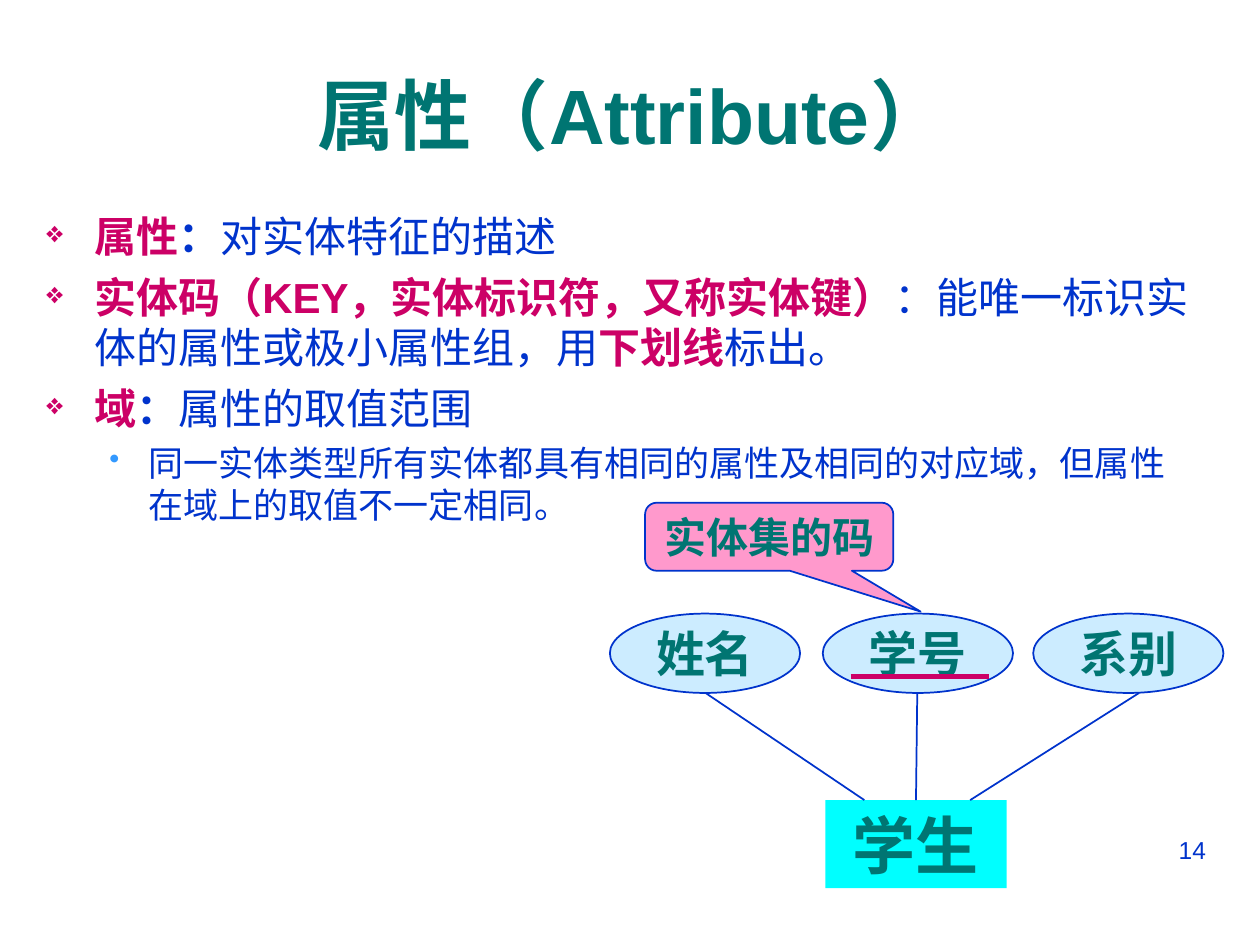
from lxml import etree
from pptx import Presentation
from pptx.dml.color import RGBColor
from pptx.enum.shapes import MSO_CONNECTOR, MSO_SHAPE
from pptx.enum.text import MSO_ANCHOR, PP_ALIGN
from pptx.oxml.ns import qn
from pptx.util import Pt

PX = 9144
BLUE, TEAL, RED = "0033CC", "007572", "CC0066"
SANS, SERIF = "Arial", "Times New Roman"
LEFT, MID, RIGHT = PP_ALIGN.LEFT, PP_ALIGN.CENTER, PP_ALIGN.RIGHT
TOP, CENTER = MSO_ANCHOR.TOP, MSO_ANCHOR.MIDDLE
RECT, OVAL = MSO_SHAPE.RECTANGLE, MSO_SHAPE.OVAL
CALLOUT = MSO_SHAPE.ROUNDED_RECTANGULAR_CALLOUT
STRAIGHT = MSO_CONNECTOR.STRAIGHT
POINTS = [
    (0, [("属性", RED, True), ("：", BLUE, True), ("对实体特征的描述", BLUE, False)]),
    (0, [("实体码（KEY，实体标识符，又称实体键）", RED, True),
         ("：能唯一标识实体的属性或极小属性组，用", BLUE, False),
         ("下划线", RED, True), ("标出。", BLUE, False)]),
    (0, [("域", RED, True), ("：", BLUE, True), ("属性的取值范围", BLUE, False)]),
    (1, [("同一实体类型所有实体都具有相同的属性及相同的对应域，"
          "但属性在域上的取值不一定相同。", BLUE, False)]),
]
LEVELS = [
    {"size": 24, "left": 38, "hang": 38, "gap": 6, "mark": "❖", "hue": RED, "pct": 70},
    {"size": 20, "left": 81, "hang": 31, "gap": 5, "mark": "•", "hue": "3399FF", "pct": 85},
]


def color(code):
    """Turn a hex string into a colour."""
    return RGBColor.from_string(code)


def scale(*lengths):
    """Turn px lengths into EMU."""
    return [n * PX for n in lengths]


def add_run(para, text, size, hue, bold, face=SANS):
    """Add one styled run to a paragraph."""
    run = para.add_run()
    run.text = text
    font = run.font
    font.name, font.size, font.bold = face, Pt(size), bold
    font.color.rgb = color(hue)


def add_text(slide, box, anchor=TOP, align=LEFT):
    """Add a wrapping text box and return its frame."""
    frame = slide.shapes.add_textbox(*scale(*box)).text_frame
    frame.word_wrap = True
    frame.vertical_anchor = anchor
    frame.paragraphs[0].alignment = align
    return frame


def set_bullet(para, level):
    """Give a paragraph the indent and bullet of its level."""
    props = para._p.get_or_add_pPr()
    props.set("marL", str(level["left"] * PX))
    props.set("indent", str(-level["hang"] * PX))
    tint = etree.SubElement(props, qn("a:buClr"))
    etree.SubElement(tint, qn("a:srgbClr"), val=level["hue"])
    etree.SubElement(props, qn("a:buSzPct"), val=str(level["pct"] * 1000))
    etree.SubElement(props, qn("a:buChar"), char=level["mark"])


def add_points(slide, box):
    """Add the bulleted body text."""
    frame = add_text(slide, box)
    for i, (depth, runs) in enumerate(POINTS):
        level = LEVELS[depth]
        para = frame.add_paragraph() if i else frame.paragraphs[0]
        para.level = depth
        set_bullet(para, level)
        para.space_before = Pt(level["gap"] if i else 0)
        for text, hue, bold in runs:
            add_run(para, text, level["size"], hue, bold)


def add_node(slide, kind, box, text, size, fill, edge=BLUE):
    """Add a filled shape with a centred label."""
    node = slide.shapes.add_shape(kind, *scale(*box))
    node.shadow.inherit = False
    node.fill.solid()
    node.fill.fore_color.rgb = color(fill)
    if edge:
        node.line.color.rgb = color(edge)
        node.line.width = Pt(1)
    else:
        node.line.fill.background()
    frame = node.text_frame
    frame.word_wrap = False
    frame.vertical_anchor = CENTER
    para = frame.paragraphs[0]
    para.alignment = MID
    add_run(para, text, size, TEAL, True, SERIF)
    return node


def add_line(slide, ends, hue=BLUE, width=1):
    """Add a straight line between two points."""
    line = slide.shapes.add_connector(STRAIGHT, *scale(*ends))
    line.line.color.rgb = color(hue)
    line.line.width = Pt(width)
    etree.SubElement(line._element.spPr, qn("a:effectLst"))
    return line


def add_graph(slide):
    """Draw the entity with its attributes and key."""
    entity = add_node(slide, RECT, (655, 635, 144, 70), "学生", 36, "00FFFF", None)
    for left, name in ((484, "姓名"), (653, "学号"), (820, "系别")):
        add_node(slide, OVAL, (left, 487, 151, 63), name, 28, "CCECFF")
    add_line(slide, (727, 635, 728, 550)).begin_connect(entity, 0)
    add_line(slide, (686, 635, 560, 550))
    add_line(slide, (770, 635, 904, 550))
    note = add_node(slide, CALLOUT, (512, 399, 197, 54), "实体集的码", 24, "FF99CC")
    for i, value in enumerate((0.61, 1.1, 0.17)):
        note.adjustments[i] = value
    add_line(slide, (675, 537, 785, 537), RED, 2.5)


def main():
    """Build and save the slide."""
    deck = Presentation()
    deck.slide_width, deck.slide_height = scale(1000, 750)
    slide = deck.slides.add_slide(deck.slide_layouts[6])
    page = add_text(slide, (717, 658, 250, 52), align=RIGHT)
    add_run(page.paragraphs[0], "14", 14, BLUE, False)
    title = add_text(slide, (35, 28, 934, 125), CENTER, MID)
    add_run(title.paragraphs[0], "属性（Attribute）", 44, TEAL, True)
    add_points(slide, (27, 162, 934, 425))
    add_graph(slide)
    deck.save("out.pptx")


if __name__ == "__main__":
    main()
